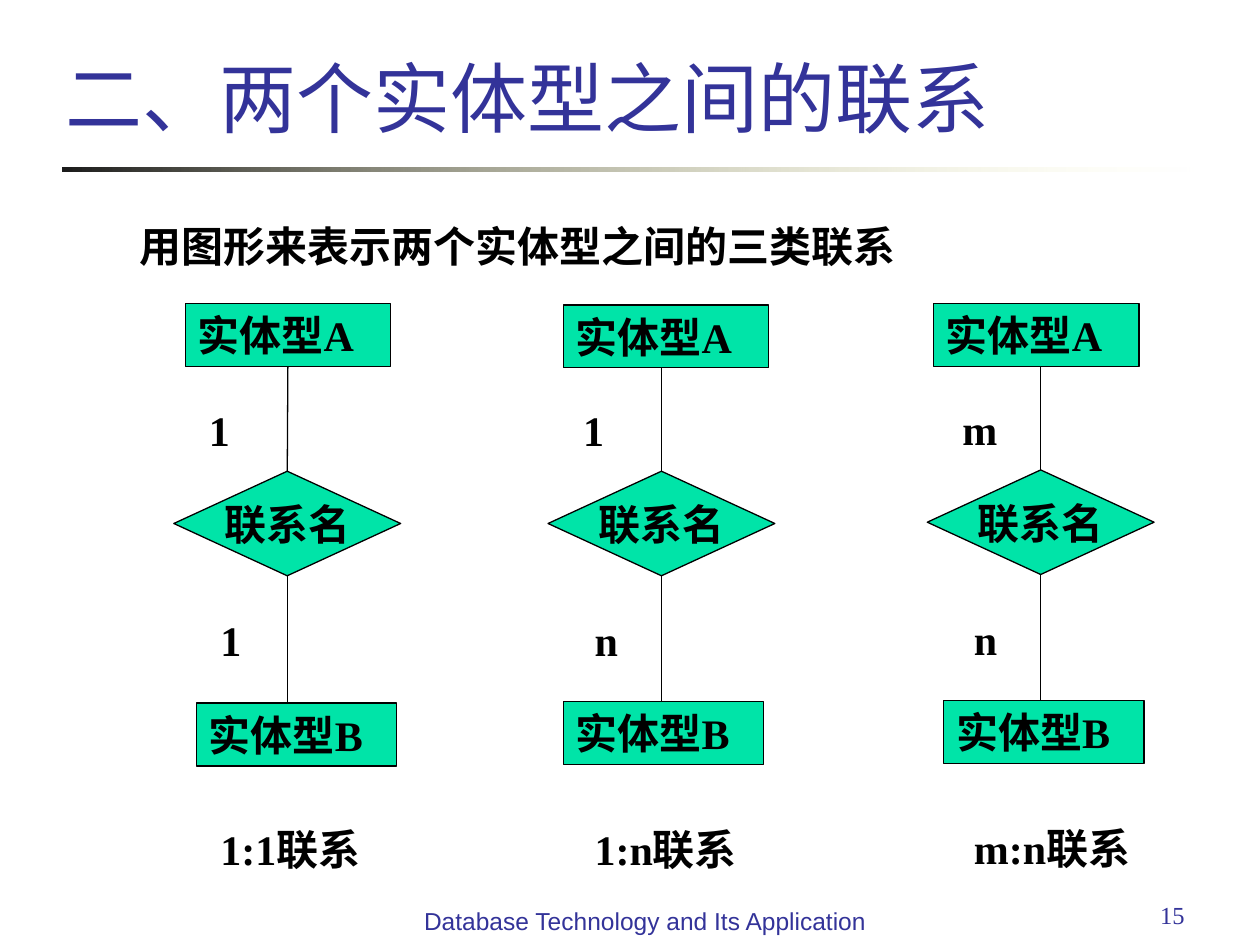
"""Build a slide that diagrams the three kinds of relationship between two entity types."""
from dataclasses import dataclass

from lxml.etree import SubElement
from pptx import Presentation
from pptx.dml.color import RGBColor
from pptx.enum.shapes import MSO_CONNECTOR, MSO_SHAPE
from pptx.enum.text import MSO_ANCHOR, PP_ALIGN
from pptx.oxml.ns import qn
from pptx.util import Inches, Pt


@dataclass(frozen=True)
class Theme:
    ink: RGBColor = RGBColor(0x00, 0x00, 0x00)
    accent: RGBColor = RGBColor(0x33, 0x33, 0x99)
    node: RGBColor = RGBColor(0x00, 0xE4, 0xA8)
    rule_start: RGBColor = RGBColor(0x1C, 0x1C, 0x1C)
    rule_end: RGBColor = RGBColor(0xFF, 0xFF, 0xB7)
    serif: str = "Times New Roman"
    sans: str = "Arial"
    title_size: int = 44
    body_size: int = 24
    footer_size: int = 14
    line_width: float = 0.75


@dataclass(frozen=True)
class Relationship:
    center: float
    diamond_top: float
    entity_a: tuple
    entity_b: tuple
    upper: str
    lower: str


THEME = Theme()
RELATIONSHIPS = (
    Relationship(2.28, 3.74, (1.47, 2.41), (1.56, 5.58), "1", "1"),
    Relationship(5.25, 3.74, (4.47, 2.42), (4.47, 5.57), "1", "n"),
    Relationship(8.26, 3.73, (7.41, 2.41), (7.49, 5.56), "m", "n"),
)


def write(shape, text, size=THEME.body_size, font=THEME.serif, color=THEME.ink,
          bold=True, align=PP_ALIGN.LEFT, anchor=MSO_ANCHOR.TOP, wrap=True):
    frame = shape.text_frame
    frame.word_wrap = wrap
    frame.vertical_anchor = anchor
    paragraph = frame.paragraphs[0]
    paragraph.alignment = align
    run = paragraph.add_run()
    run.text = text
    run.font.size = Pt(size)
    run.font.name = font
    run.font.bold = bold
    run.font.color.rgb = color


def add_text(slide, left, top, width, height, text, **style):
    box = slide.shapes.add_textbox(Inches(left), Inches(top), Inches(width), Inches(height))
    write(box, text, **style)


def add_node(slide, kind, left, top, width, height, text, **style):
    shape = slide.shapes.add_shape(kind, Inches(left), Inches(top), Inches(width), Inches(height))
    shape.shadow.inherit = False
    shape.fill.solid()
    shape.fill.fore_color.rgb = THEME.node
    shape.line.color.rgb = THEME.ink
    shape.line.width = Pt(THEME.line_width)
    write(shape, text, **style)
    return shape


def add_link(slide, diamond, diamond_site, entity, entity_site):
    x = diamond.left + diamond.width // 2
    start = diamond.top if diamond_site == 0 else diamond.top + diamond.height
    end = entity.top if entity_site == 0 else entity.top + entity.height
    link = slide.shapes.add_connector(MSO_CONNECTOR.STRAIGHT, x, start, x, end)
    link.begin_connect(diamond, diamond_site)
    if abs(entity.left + entity.width // 2 - x) < Inches(0.01):
        link.end_connect(entity, entity_site)
    link.line.color.rgb = THEME.ink
    link.line.width = Pt(THEME.line_width)
    SubElement(link._element.spPr, qn("a:effectLst"))


def add_title_rule(slide):
    rule = slide.shapes.add_shape(
        MSO_SHAPE.RECTANGLE, Inches(0.5), Inches(1.33), Inches(9), Inches(0.03))
    rule.shadow.inherit = False
    rule.line.fill.background()
    rule.fill.gradient()
    rule.fill.gradient_angle = 0
    first, last = rule.fill.gradient_stops
    first.color.rgb, first.position = THEME.rule_start, 0
    last.color.rgb, last.position = THEME.rule_end, 1
    end_color = rule._element.xpath(".//a:gs/a:srgbClr")[-1]
    SubElement(end_color, qn("a:alpha")).set("val", "0")


def add_relationship(slide, relationship):
    center, top = relationship.center, relationship.diamond_top
    entity_a = add_node(slide, MSO_SHAPE.RECTANGLE, *relationship.entity_a, 1.63, 0.5, "实体型A")
    diamond = add_node(slide, MSO_SHAPE.DIAMOND, center - 0.9, top, 1.8, 0.83, "联系名",
                       align=PP_ALIGN.CENTER, anchor=MSO_ANCHOR.MIDDLE, wrap=False)
    entity_b = add_node(slide, MSO_SHAPE.RECTANGLE, *relationship.entity_b, 1.59, 0.5, "实体型B")
    add_link(slide, diamond, 0, entity_a, 2)
    add_link(slide, diamond, 2, entity_b, 0)
    add_text(slide, center - 0.72, top - 0.58, 0.45, 0.5, relationship.upper)
    add_text(slide, center - 0.63, top + 1.09, 0.45, 0.5, relationship.lower)
    add_text(slide, center - 0.63, top + 2.75, 1.62, 0.5,
             f"{relationship.upper}:{relationship.lower}联系")


def main():
    presentation = Presentation()
    presentation.slide_width = Inches(10)
    presentation.slide_height = Inches(7.5)
    slide = presentation.slides.add_slide(presentation.slide_layouts[6])

    add_title_rule(slide)
    add_text(slide, 0.42, 0, 8.78, 1.18, "二、两个实体型之间的联系", size=THEME.title_size,
             font=THEME.sans, color=THEME.accent, bold=False, anchor=MSO_ANCHOR.BOTTOM)
    add_text(slide, 0.61, 1.7, 7, 0.5, "用图形来表示两个实体型之间的三类联系",
             align=PP_ALIGN.CENTER, wrap=False)
    for relationship in RELATIONSHIPS:
        add_relationship(slide, relationship)

    footer = {"size": THEME.footer_size, "color": THEME.accent, "bold": False}
    add_text(slide, 7.17, 7.09, 2.33, 0.52, "15", align=PP_ALIGN.RIGHT, **footer)
    add_text(slide, 3.19, 7.14, 3.86, 0.52, "Database Technology and Its Application",
             font=THEME.sans, align=PP_ALIGN.CENTER, **footer)
    presentation.save("out.pptx")


if __name__ == "__main__":
    main()
